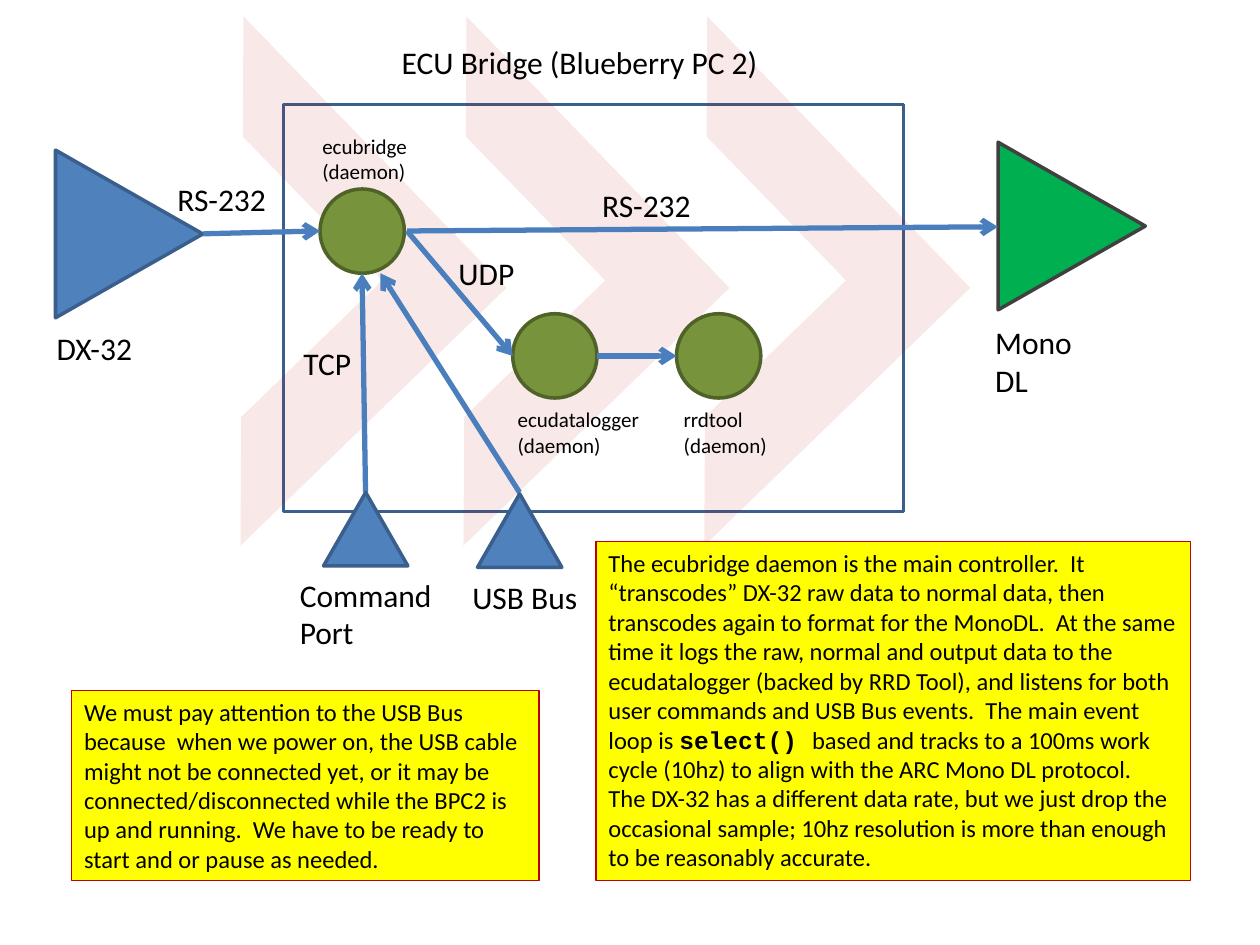
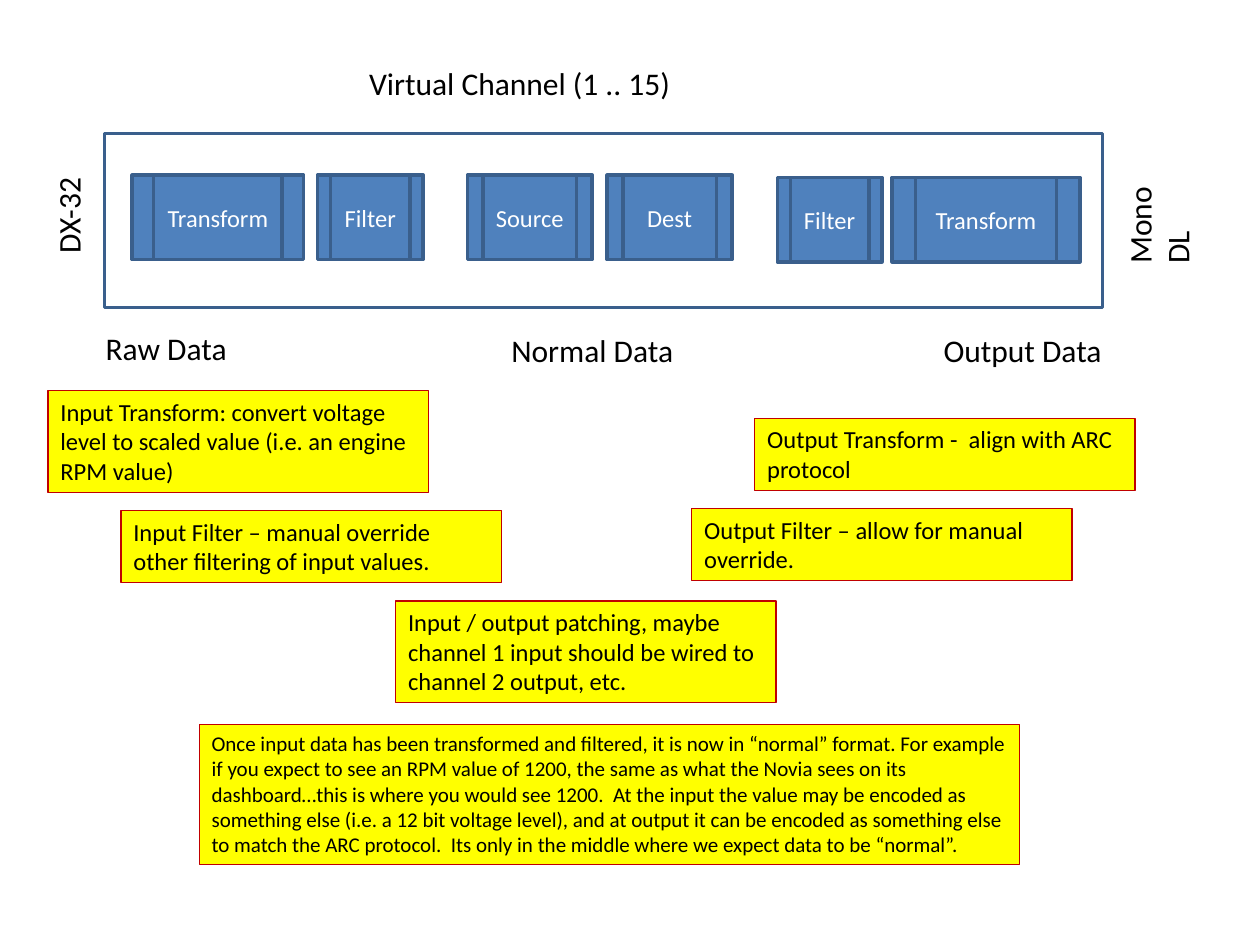
from lxml import etree
from pptx import Presentation
from pptx.dml.color import RGBColor
from pptx.enum.shapes import MSO_CONNECTOR, MSO_SHAPE
from pptx.enum.text import MSO_ANCHOR, MSO_AUTO_SIZE, PP_ALIGN
from pptx.oxml.ns import qn
from pptx.util import Pt

RECTANGLE = MSO_SHAPE.RECTANGLE
ELLIPSE = MSO_SHAPE.OVAL
TRIANGLE = MSO_SHAPE.FLOWCHART_EXTRACT
PROCESS = MSO_SHAPE.FLOWCHART_PREDEFINED_PROCESS
HALF_FRAME = MSO_SHAPE.HALF_FRAME
STRAIGHT = MSO_CONNECTOR.STRAIGHT

COLORS = {
    "text": "000000", "white": "FFFFFF", "blue": "4F81BD", "border": "3A5F8C",
    "arrow": "4B7EBC", "green": "00B050", "dark": "404040", "olive": "77933C",
    "olive_border": "4F6228", "note": "FFFF00", "red": "C00000",
}
BODY_FONT, CODE_FONT = "Calibri", "Courier New"
LABEL_SIZE, NOTE_SIZE, SMALL_SIZE = 18, 14, 12
LABEL_HEIGHT = 28.8
CODE = "select() "

# Slide 1: boxes are (left, top, width, height), points are (x, y)
BRIDGE_BOX = (162, 59.8, 354.2, 232.6)
CHEVRON_LEFTS, CHEVRON_TOP, CHEVRON_SIZE = (32.4, 159.8, 297.4), 52.6, (211.7, 216)
CHEVRON_ANGLE, CHEVRON_ADJUSTMENTS, CHEVRON_ALPHA = 135.9, (0.248, 0.227), 9

DEVICES = [  # left, top, fill, line
    (25.9, 91.6, "blue", "border"),
    (564.5, 87.1, "green", "dark"),
]
DEVICE_SIZE = (95.8, 84.2)
PORTS, PORT_SIZE = [(184.9, 281.4), (272.9, 282.2)], (48.2, 42)

DAEMON_DIAMETER = 48.2
DAEMONS = [  # circle left, top, caption left, top, width, name
    (182.9, 108, 177.1, 72.8, 80, "ecubridge"),
    (293, 179.3, 288.7, 229, 88.6, "ecudatalogger"),
    (386.6, 179.3, 383.6, 229, 88.6, "rrdtool"),
]
ARROWS = [
    ((116.2, 133.6), (182.9, 132)),
    ((232.6, 132), (570.2, 129.6)),
    ((232.6, 132), (293, 203.4)),
    ((340.9, 203.4), (386.6, 203.4)),
    ((208.9, 281.4), (206.9, 156.2)),
    ((296.9, 281.4), (217.4, 156.2)),
]
BRIDGE_LABELS = [  # left, top, width, text
    (25.2, 184.3, 77.8, "DX-32"),
    (561.6, 181.1, 77.8, "Mono DL"),
    (222.5, 20.9, 228.2, "ECU Bridge (Blueberry PC 2)"),
    (164.2, 325.4, 92.9, "Command Port"),
    (262.8, 326.9, 92.9, "USB Bus"),
    (166.3, 193, 46.8, "TCP"),
    (254.9, 141.8, 46.8, "UDP"),
    (337, 103, 74.2, "RS-232"),
    (94.3, 99.4, 74.2, "RS-232"),
]
BRIDGE_NOTES = [
    ((340.6, 309.6, 339.8, 193.7), NOTE_SIZE,
     "The ecubridge daemon is the main controller.  It “transcodes” DX-32 raw data "
     "to normal data, then transcodes again to format for the MonoDL.  At the same "
     "time it logs the raw, normal and output data to the ecudatalogger (backed by "
     "RRD Tool), and listens for both user commands and USB Bus events.  The main "
     "event loop is " + CODE + "based and tracks to a 100ms work cycle (10hz) to "
     "align with the ARC Mono DL protocol.   The DX-32 has a different data rate, "
     "but we just drop the occasional sample; 10hz resolution is more than enough "
     "to be reasonably accurate."),
    ((41, 394.6, 267.1, 108.7), NOTE_SIZE,
     "We must pay attention to the USB Bus because  when we power on, the USB cable "
     "might not be connected yet, or it may be connected/disconnected while the BPC2 "
     "is up and running.  We have to be ready to start and or pause as needed."),
]

# Slide 2
CHANNEL_BOX = (59.8, 76.3, 570.2, 99.4)
STAGE_HEIGHT = 48.2
STAGES = [  # left, top, width, text
    (75.6, 100.1, 97.9, "Transform"),
    (181.4, 100.1, 60.5, "Filter"),
    (267.1, 100.1, 71.3, "Source"),
    (347, 100.1, 71.3, "Dest"),
    (444.2, 101.5, 59.8, "Filter"),
    (509.8, 101.5, 107.3, "Transform"),
]
CHANNEL_LABELS = [
    (203.8, 33.1, 192.2, "Virtual Channel (1 .. 15)"),
    (53.3, 184.3, 99.4, "Raw Data"),
    (285.1, 185.8, 120.2, "Normal Data"),
    (532.1, 185.8, 120.2, "Output Data"),
]
SIDE_LABELS = [(0, 98.6, 77.8, "DX-32"), (612, 104.4, 77.8, "Mono DL")]
SIDE_ANGLE = 270
TWO_LINES, THREE_LINES = (217.4, 41.2), (217.4, 58.2)
CHANNEL_NOTES = [
    ((27.4, 223.2, *THREE_LINES), NOTE_SIZE,
     "Input Transform: convert voltage level to scaled value (i.e. an engine RPM value)"),
    ((69.1, 291.6, *TWO_LINES), NOTE_SIZE,
     "Input Filter – manual override other filtering of input values."),
    ((226.1, 343.4, *THREE_LINES), NOTE_SIZE,
     "Input / output patching, maybe channel 1 input should be wired to channel 2 "
     "output, etc."),
    ((395.3, 290.5, *TWO_LINES), NOTE_SIZE, "Output Filter – allow for manual override."),
    ((431.3, 239, *TWO_LINES), NOTE_SIZE, "Output Transform -  align with ARC protocol"),
    ((113.8, 414, 468.7, 80), SMALL_SIZE,
     "Once input data has been transformed and filtered, it is now in “normal” format. "
     "For example if you expect to see an RPM value of 1200, the same as what the Novia "
     "sees on its dashboard…this is where you would see 1200.  At the input the value "
     "may be encoded as something else (i.e. a 12 bit voltage level), and at output it "
     "can be encoded as something else to match the ARC protocol.  Its only in the "
     "middle where we expect data to be “normal”."),
]


def color(name):
    """Return a named colour of the palette."""
    return RGBColor.from_string(COLORS[name])


def points(values):
    """Turn numbers into lengths in points."""
    return [Pt(value) for value in values]


def format_runs(text_frame, size, color_name="text"):
    """Give every run the body font, a size and a colour."""
    for paragraph in text_frame.paragraphs:
        for run in paragraph.runs:
            run.font.name = BODY_FONT
            run.font.size = Pt(size)
            run.font.color.rgb = color(color_name)


def add_figure(slide, kind, box, fill=None, line=None, rotation=0):
    """Add a flat preset shape with optional fill and outline."""
    shape = slide.shapes.add_shape(kind, *points(box))
    shape.shadow.inherit = False
    shape.rotation = rotation
    if fill:
        shape.fill.solid()
        shape.fill.fore_color.rgb = color(fill)
    else:
        shape.fill.background()
    if line:
        shape.line.color.rgb = color(line)
        shape.line.width = Pt(2)
    else:
        shape.line.fill.background()
    return shape


def add_text(slide, box, text, size=LABEL_SIZE, rotation=0):
    """Add a wrapping text box that grows with its text."""
    shape = slide.shapes.add_textbox(*points(box))
    shape.rotation = rotation
    text_frame = shape.text_frame
    text_frame.word_wrap = True
    text_frame.auto_size = MSO_AUTO_SIZE.SHAPE_TO_FIT_TEXT
    text_frame.text = text
    format_runs(text_frame, size)
    return shape


def add_labels(slide, labels, rotation=0):
    """Add a list of large labels."""
    for left, top, width, text in labels:
        add_text(slide, (left, top, width, LABEL_HEIGHT), text, rotation=rotation)


def add_notes(slide, notes):
    """Add yellow notes and set any code in bold monospace."""
    for box, size, text in notes:
        shape = add_text(slide, box, text, size)
        shape.fill.solid()
        shape.fill.fore_color.rgb = color("note")
        shape.line.color.rgb = color("red")
        shape.line.width = Pt(0.75)
        if CODE in text:
            before, after = text.split(CODE)
            paragraph = shape.text_frame.paragraphs[0]
            paragraph.text = before
            code_run = paragraph.add_run()
            code_run.text = CODE
            paragraph.add_run().text = after
            format_runs(shape.text_frame, size)
            code_run.font.name = CODE_FONT
            code_run.font.bold = True


def add_arrow(slide, start, end):
    """Add a straight arrow without a shadow."""
    connector = slide.shapes.add_connector(STRAIGHT, *points(start + end))
    connector.line.color.rgb = color("arrow")
    connector.line.width = Pt(3)
    etree.SubElement(connector.line._get_or_add_ln(), qn("a:tailEnd"), type="arrow")
    etree.SubElement(connector._element.spPr, qn("a:effectLst"))


def add_chevron(slide, left):
    """Add one translucent background chevron."""
    shape = add_figure(slide, HALF_FRAME, (left, CHEVRON_TOP, *CHEVRON_SIZE), "red",
                       rotation=CHEVRON_ANGLE)
    for index, value in enumerate(CHEVRON_ADJUSTMENTS):
        shape.adjustments[index] = value
    fill_color = shape._element.spPr.find(qn("a:solidFill"))[0]
    etree.SubElement(fill_color, qn("a:alpha"), val=str(CHEVRON_ALPHA * 1000))


def build_bridge_slide(slide):
    """Draw the bridge, its daemons and its connections."""
    for left, top, fill, line in DEVICES:
        add_figure(slide, TRIANGLE, (left, top, *DEVICE_SIZE), fill, line, rotation=90)
    add_figure(slide, RECTANGLE, BRIDGE_BOX, line="border")
    for left in CHEVRON_LEFTS:
        add_chevron(slide, left)
    for left, top, caption_left, caption_top, width, name in DAEMONS:
        add_figure(slide, ELLIPSE, (left, top, DAEMON_DIAMETER, DAEMON_DIAMETER),
                   "olive", "olive_border")
        add_text(slide, (caption_left, caption_top, width, 36), name + "\n(daemon)",
                 SMALL_SIZE)
    for start, end in ARROWS:
        add_arrow(slide, start, end)
    for position in PORTS:
        add_figure(slide, TRIANGLE, position + PORT_SIZE, "blue", "border")
    add_labels(slide, BRIDGE_LABELS)
    add_notes(slide, BRIDGE_NOTES)


def build_channel_slide(slide):
    """Draw the stages of a virtual channel and explain them."""
    add_figure(slide, RECTANGLE, CHANNEL_BOX, line="border")
    for left, top, width, text in STAGES:
        shape = add_figure(slide, PROCESS, (left, top, width, STAGE_HEIGHT),
                           "blue", "border")
        text_frame = shape.text_frame
        text_frame.text = text
        text_frame.vertical_anchor = MSO_ANCHOR.MIDDLE
        text_frame.paragraphs[0].alignment = PP_ALIGN.CENTER
        format_runs(text_frame, NOTE_SIZE, "white")
    add_labels(slide, CHANNEL_LABELS)
    add_labels(slide, SIDE_LABELS, SIDE_ANGLE)
    add_notes(slide, CHANNEL_NOTES)


presentation = Presentation()
presentation.slide_width, presentation.slide_height = Pt(720), Pt(540)
blank_layout = presentation.slide_layouts[6]
for build in (build_bridge_slide, build_channel_slide):
    build(presentation.slides.add_slide(blank_layout))
presentation.save("out.pptx")
